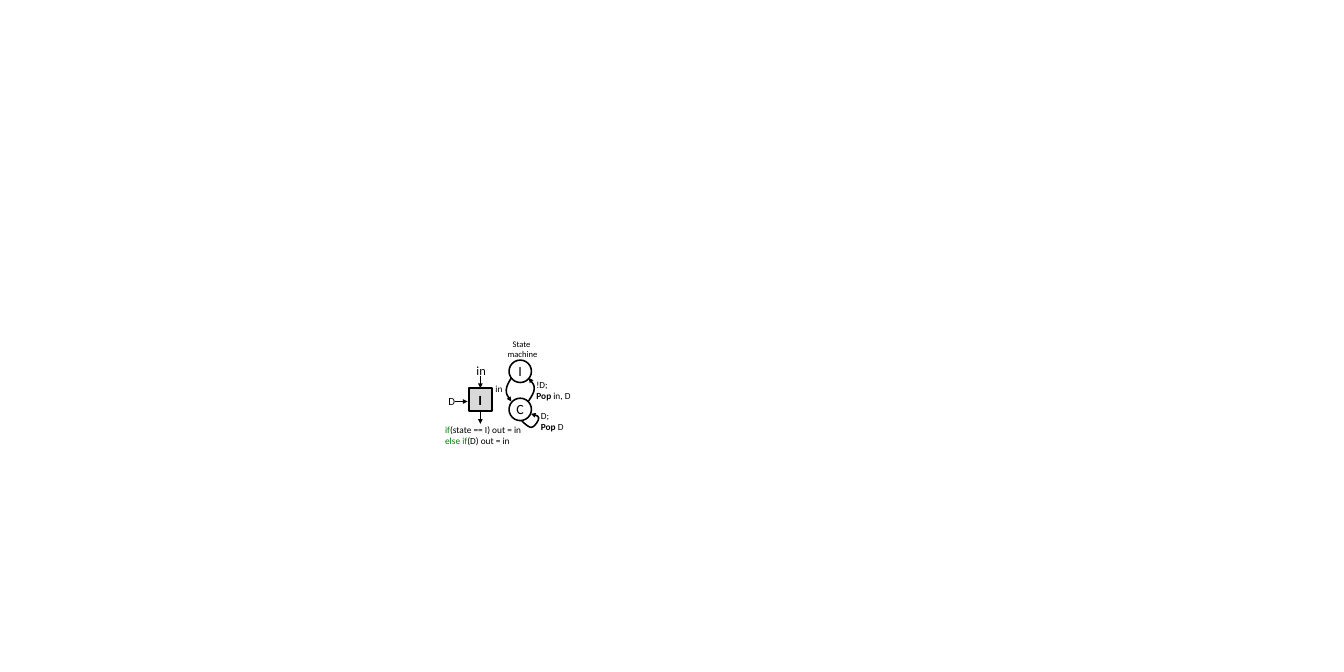
from dataclasses import dataclass

from lxml import etree
from pptx import Presentation
from pptx.dml.color import RGBColor
from pptx.enum.shapes import MSO_CONNECTOR, MSO_SHAPE
from pptx.enum.text import MSO_ANCHOR, MSO_AUTO_SIZE, PP_ALIGN
from pptx.oxml.ns import qn
from pptx.util import Pt

RECT, OVAL = MSO_SHAPE.RECTANGLE, MSO_SHAPE.OVAL
STRAIGHT = MSO_CONNECTOR.STRAIGHT
LEFT, CENTER = PP_ALIGN.LEFT, PP_ALIGN.CENTER
MIDDLE = MSO_ANCHOR.MIDDLE
FIT = MSO_AUTO_SIZE.SHAPE_TO_FIT_TEXT
TOP, BOTTOM = 0, 2


@dataclass(frozen=True)
class Theme:
    font: str = "Calibri"
    ink: RGBColor = RGBColor(0x00, 0x00, 0x00)
    keyword: RGBColor = RGBColor(0x00, 0x80, 0x01)
    white: RGBColor = RGBColor(0xFF, 0xFF, 0xFF)
    grey: RGBColor = RGBColor(0xD9, 0xD9, 0xD9)
    node: float = 18
    port: float = 16
    data: float = 14
    note: float = 12
    caption: float = 11
    line: float = 2


T = Theme()


def write(tf, lines, size=T.note, align=LEFT):
    """Each line is a list of (text, format) runs."""
    for i, runs in enumerate(lines):
        p = tf.paragraphs[0] if i == 0 else tf.add_paragraph()
        p.alignment = align
        for text, fmt in runs:
            r = p.add_run()
            r.text = text
            r.font.name = T.font
            r.font.size = Pt(size)
            r.font.bold = fmt.get("bold", False)
            r.font.color.rgb = fmt.get("color", T.ink)


def label(s, x, y, w, h, lines, **fmt):
    tf = s.shapes.add_textbox(Pt(x), Pt(y), Pt(w), Pt(h)).text_frame
    tf.word_wrap = False
    tf.auto_size = FIT
    write(tf, lines, **fmt)


def ink_line(shape, arrow=False):
    shape.line.color.rgb = T.ink
    shape.line.width = Pt(T.line)
    if arrow:
        ln = shape.line._get_or_add_ln()
        etree.SubElement(ln, qn("a:tailEnd"), type="triangle")


def node(s, kind, x, y, side, text, fill=T.white, bold=False):
    sp = s.shapes.add_shape(kind, Pt(x), Pt(y), Pt(side), Pt(side))
    sp.shadow.inherit = False
    sp.fill.solid()
    sp.fill.fore_color.rgb = fill
    ink_line(sp)
    tf = sp.text_frame
    tf.margin_left = tf.margin_right = tf.margin_top = tf.margin_bottom = 0
    tf.vertical_anchor = MIDDLE
    write(tf, [[(text, {"bold": bold})]], size=T.node, align=CENTER)
    return sp


def arrow(s, x1, y1, x2, y2):
    c = s.shapes.add_connector(STRAIGHT, Pt(x1), Pt(y1), Pt(x2), Pt(y2))
    ink_line(c, arrow=True)
    etree.SubElement(c._element.spPr, qn("a:effectLst"))
    return c


def curve(s, start, *points):
    """Arrow along cubic curves: two controls and an end point for each."""
    fb = s.shapes.build_freeform(Pt(start[0]), Pt(start[1]))
    fb.add_line_segments([(Pt(x), Pt(y)) for x, y in points], close=False)
    sp = fb.convert_to_shape()
    sp.shadow.inherit = False
    sp.fill.background()
    ink_line(sp, arrow=True)
    path = sp._element.spPr.find(".//" + qn("a:path"))
    segments = path.findall(qn("a:lnTo"))
    for i in range(0, len(segments), 3):
        bezier = etree.SubElement(path, qn("a:cubicBezTo"))
        for segment in segments[i:i + 3]:
            bezier.append(segment[0])
            path.remove(segment)


def operator(s):
    x, y, side = 602.8, 499, 29.6
    mid = x + side / 2
    box = node(s, RECT, x, y, side, "I", fill=T.grey, bold=True)
    arrow(s, mid, y + side, mid, 545).begin_connect(box, BOTTOM)
    arrow(s, mid, 483, mid, y).end_connect(box, TOP)
    arrow(s, 585.4, 516.2, 601.2, 516.2)
    label(s, 569.5, 503.3, 23, 24.5, [[("D", {})]], size=T.data)
    label(s, 605.5, 463, 26.6, 26.6, [[("in", {})]], size=T.port)
    green = {"color": T.keyword}
    label(s, 565.2, 541.4, 113.8, 36,
          [[("if", green), ("(state == I) out = in", {})],
           [("else if", green), ("(D) out = in", {})]])


def state_machine(s):
    for y, state in ((463, "I"), (512, "C")):
        node(s, OVAL, 654.5, y, 28.8, state)

    # Transitions
    curve(s, (657.4, 486), (653.8, 491.8), (650.9, 496.8), (650.9, 501.8),
          (650.9, 506.9), (653.8, 511.2), (657.4, 516.2))
    curve(s, (679.7, 515.5), (683.3, 509.8), (686.9, 504.7), (686.9, 499.7),
          (686.9, 494.6), (683.3, 490.3), (679.7, 486))
    curve(s, (671, 541.4), (676.1, 545.8), (680.4, 550.1), (684, 549.4),
          (687.6, 548.6), (693.4, 540), (692.6, 537.1),
          (692.6, 535), (687.6, 533.5), (682.6, 532.1))

    # Conditions and caption
    pop = ("Pop", {"bold": True})
    label(s, 688.3, 523.4, 44, 36, [[("D;", {})], [pop, (" D", {})]])
    label(s, 682.6, 483.8, 59, 36, [[("!D;", {})], [pop, (" in, D", {})]])
    label(s, 630, 489.6, 23.8, 21.6, [[("in", {})]])
    label(s, 645.1, 432, 53.3, 33.8, [[("State ", {})], [("machine", {})]],
          size=T.caption, align=CENTER)


def main():
    prs = Presentation()
    prs.slide_width, prs.slide_height = Pt(1728), Pt(864)
    s = prs.slides.add_slide(prs.slide_layouts[6])
    operator(s)
    state_machine(s)
    prs.save("out.pptx")


if __name__ == "__main__":
    main()
